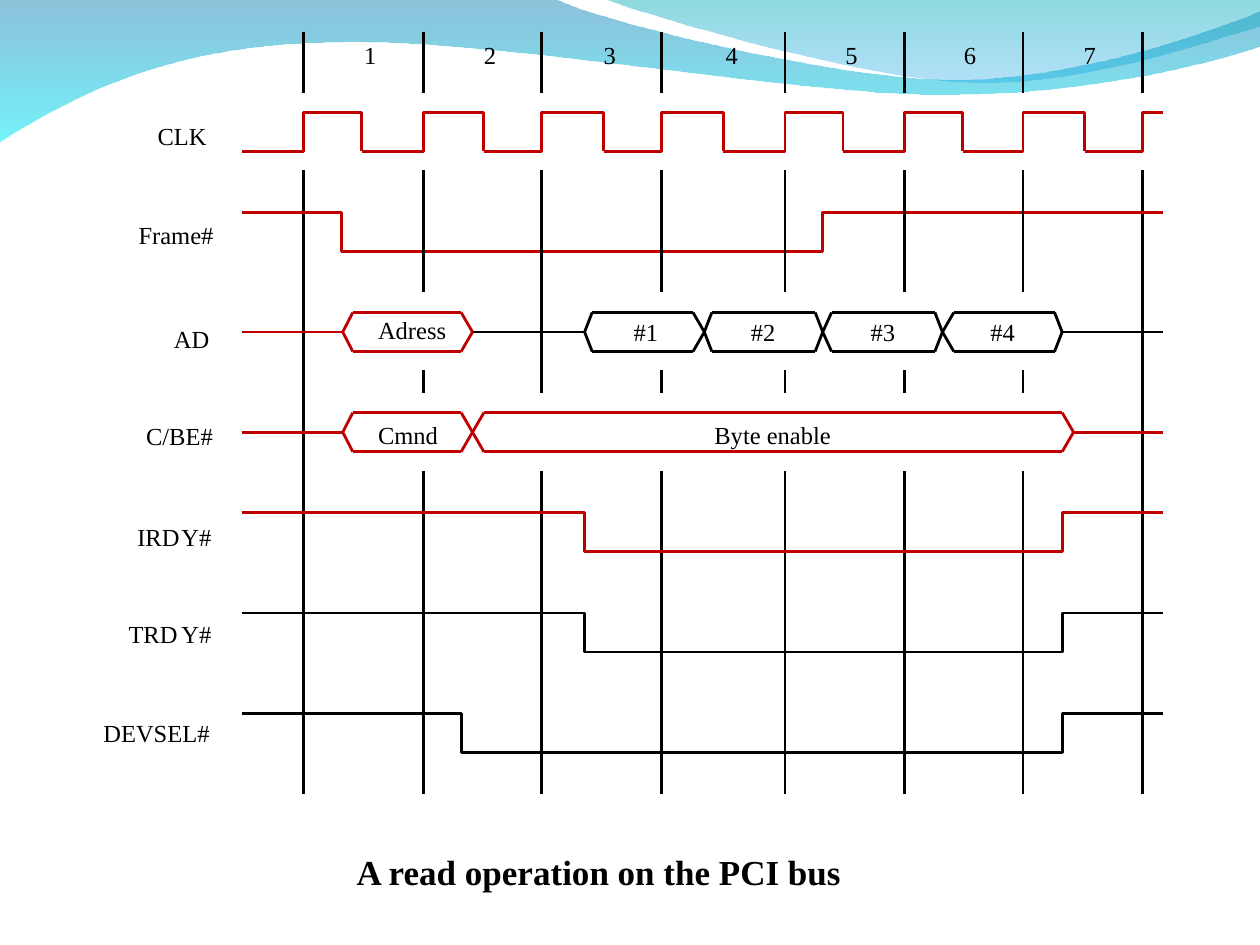
from itertools import pairwise

from lxml.etree import SubElement
from pptx import Presentation
from pptx.dml.color import RGBColor
from pptx.enum.shapes import MSO_CONNECTOR as Connector
from pptx.enum.text import MSO_ANCHOR as Anchor, MSO_AUTO_SIZE as AutoSize, PP_ALIGN as Align
from pptx.oxml.ns import qn
from pptx.util import Inches, Pt

FONT = "Times New Roman"
BLACK, RED = "000000", "C00000"
LINE_WIDTH = 1.62
START, END = 1.92, 9.23
SWING, ROW_PITCH = 0.31, 0.795
CLK, FRAME, AD, CBE, IRDY, TRDY, DEVSEL = [0.89 + ROW_PITCH * row for row in range(7)]
EDGES = [2.41, 3.36, 4.3, 5.25, 6.23, 7.18, 8.12, 9.07]
FALLS = [2.87, 3.84, 4.79, 5.74, 6.69, 7.64, 8.61]
CYCLE_LEFTS = [2.89, 3.84, 4.79, 5.76, 6.71, 7.65, 8.6]

LOWER_WAVE = [
    ((0, -0.01), (4.4, -0.01)),
    ((4.4, -0.01), (4.76, 0.17), (6.64, 0.63), (7.58, 0.63)),
    ((7.58, 0.63), (8.53, 0.63), (9.58, 0.26), (10, 0.09)),
    ((10, 0.09), (10.01, 0.36)),
    ((10.01, 0.36), (9.83, 0.44), (8.7, 0.76), (7.46, 0.75)),
    ((7.46, 0.75), (6.22, 0.75), (3.82, 0.28), (2.57, 0.34)),
    ((2.57, 0.34), (1.29, 0.35), (0.46, 0.83), (-0.01, 1.13)),
]
UPPER_WAVE = [
    ((4.79, -0.01), (5.09, 0.11), (6.82, 0.62), (7.69, 0.65)),
    ((7.69, 0.65), (8.56, 0.69), (9.61, 0.32), (10, 0.21)),
    ((10, 0.21), (10, 0)),
]

LABELS = [
    ("CLK", 1.25, 0.96, 0.45),
    ("Frame#", 1.1, 1.75, 0.66),
    ("AD", 1.38, 2.57, 0.34),
    ("C/BE#", 1.16, 3.34, 0.6),
    ("IRD", 1.09, 4.14, 0.4),
    ("Y#", 1.44, 4.14, 0.3),
    ("TRD", 1.02, 4.91, 0.45),
    ("Y#", 1.44, 4.91, 0.3),
    ("DEVSEL#", 0.82, 5.7, 0.92),
    ("Adress", 3, 2.5, 0.62),
    ("#1", 5.03, 2.52, 0.26),
    ("#2", 5.96, 2.52, 0.26),
    ("#3", 6.91, 2.52, 0.26),
    ("#4", 7.86, 2.52, 0.26),
    ("Cmnd", 3, 3.33, 0.55),
    ("Byte enable", 5.67, 3.33, 1),
]
COMMAND_CELL = (2.72, 2.8, 3.66, 3.75)
ENABLE_CELL = (3.75, 3.84, 8.43, 8.52)
DATA_CELLS = [
    (4.64, 4.7, 5.5, 5.59),
    (5.59, 5.65, 6.47, 6.53),
    (6.53, 6.6, 7.42, 7.48),
    (7.48, 7.57, 8.37, 8.43),
]


def rgb(color):
    return RGBColor.from_string(color)


def outline(slide, points, closed=False):
    corners = [(Inches(x), Inches(y)) for x, y in points]
    builder = slide.shapes.build_freeform(*corners[0])
    builder.add_line_segments(corners[1:], close=closed)
    shape = builder.convert_to_shape()
    shape.shadow.inherit = False
    return shape


def add_trace(slide, points, color):
    trace = outline(slide, points)
    trace.fill.background()
    trace.line.color.rgb = rgb(color)
    trace.line.width = Pt(LINE_WIDTH)


def add_line(slide, x1, y1, x2, y2, color=BLACK):
    line = slide.shapes.add_connector(
        Connector.STRAIGHT, Inches(x1), Inches(y1), Inches(x2), Inches(y2))
    line.line.color.rgb = rgb(color)
    line.line.width = Pt(LINE_WIDTH)
    SubElement(line._element.spPr, qn("a:effectLst"))


def bezier(p0, p1, p2, p3, steps=24):
    for step in range(steps + 1):
        t = step / steps
        u = 1 - t
        yield tuple(u**3 * a + 3 * u * u * t * b + 3 * u * t * t * c + t**3 * d
                    for a, b, c, d in zip(p0, p1, p2, p3))


def add_wave(slide, pieces, stops):
    points = [point for piece in pieces
              for point in (bezier(*piece) if len(piece) == 4 else piece)]
    wave = outline(slide, points, closed=True)
    wave.line.fill.background()
    wave.fill.gradient()
    wave.fill.gradient_angle = 270
    for stop, position, (color, opacity) in zip(wave.fill.gradient_stops, (0, 1), stops):
        stop.position = position
        stop.color.rgb = rgb(color)
        tint = stop._gs.find(qn("a:srgbClr"))
        SubElement(tint, qn("a:alpha")).set("val", str(opacity * 1000))


def write(frame, text, size, bold=False):
    frame.margin_left = frame.margin_right = frame.margin_top = frame.margin_bottom = 0
    frame.vertical_anchor = Anchor.TOP
    frame.word_wrap = True
    frame.auto_size = AutoSize.NONE
    paragraph = frame.paragraphs[0]
    paragraph.alignment = Align.LEFT
    run = paragraph.add_run()
    run.text = text
    run.font.name, run.font.size, run.font.bold = FONT, Pt(size), bold
    run.font.color.rgb = rgb(BLACK)


def add_label(slide, text, left, top, width):
    label = slide.shapes.add_textbox(Inches(left), Inches(top), Inches(width), Inches(0.23))
    write(label.text_frame, text, 14)


def add_caption(slide, text):
    caption = slide.shapes.title
    caption.left, caption.top = Inches(2.83), Inches(6.75)
    caption.width, caption.height = Inches(4.83), Inches(0.33)
    write(caption.text_frame, text, 20, bold=True)


def add_active_low(slide, high, fall, rise, color):
    low = high + SWING
    add_trace(slide, [(END, high), (rise, high), (rise, low),
                      (fall, low), (fall, high), (START, high)], color)


def add_bus_cell(slide, high, cell, color):
    left_tip, left, right, right_tip = cell
    middle, low = high + SWING / 2, high + SWING
    add_trace(slide, [(left, low), (left_tip, middle), (left, high)], color)
    add_trace(slide, [(right, high), (right_tip, middle), (right, low)], color)
    for y in (high, low):
        add_line(slide, right, y, left, y, color)


def add_idle(slide, high, left, right, color):
    middle = high + SWING / 2
    add_line(slide, left, middle, right, middle, color)


def add_clock(slide):
    low = CLK + SWING
    for begin, rise, fall in zip([START] + FALLS, EDGES, FALLS):
        add_trace(slide, [(fall, low), (fall, CLK), (rise, CLK), (rise, low), (begin, low)], RED)
    add_trace(slide, [(END, CLK), (EDGES[-1], CLK), (EDGES[-1], low), (FALLS[-1], low)], RED)


def add_lower_grid(slide):
    for edge in EDGES:
        top = 1.35 if edge in (EDGES[0], EDGES[-1]) else 3.74
        add_line(slide, edge, 6.3, edge, top)


def add_upper_grid(slide):
    for edge in EDGES:
        add_line(slide, edge, 0.25, edge, 0.74)
    for edge in EDGES[1:-1]:
        stops = [1.35, 3.12] if edge == EDGES[2] else [1.35, 2.32, 2.94, 3.12]
        for top, bottom in list(pairwise(stops))[::2]:
            add_line(slide, edge, top, edge, bottom)


def add_buses(slide):
    for high in (AD, CBE):
        add_idle(slide, high, START, COMMAND_CELL[0], RED)
        add_bus_cell(slide, high, COMMAND_CELL, RED)
    add_idle(slide, AD, COMMAND_CELL[-1], DATA_CELLS[0][0], BLACK)
    for cell in DATA_CELLS:
        add_bus_cell(slide, AD, cell, BLACK)
    add_idle(slide, AD, DATA_CELLS[-1][-1], END, BLACK)
    add_bus_cell(slide, CBE, ENABLE_CELL, RED)
    add_idle(slide, CBE, ENABLE_CELL[-1], END, RED)


def main():
    deck = Presentation()
    deck.slide_width, deck.slide_height = Inches(10), Inches(7.5)
    slide = deck.slides.add_slide(deck.slide_layouts[5])
    add_wave(slide, LOWER_WAVE, [("0079AF", 45), ("00EBF8", 55)])
    add_wave(slide, UPPER_WAVE, [("00ADB6", 45), ("009BE5", 30)])
    add_lower_grid(slide)
    add_clock(slide)
    add_active_low(slide, FRAME, 2.71, 6.53, RED)
    add_buses(slide)
    add_active_low(slide, IRDY, 4.64, 8.43, RED)
    add_active_low(slide, TRDY, 4.64, 8.43, BLACK)
    add_active_low(slide, DEVSEL, 3.66, 8.43, BLACK)
    add_upper_grid(slide)
    for cycle, left in enumerate(CYCLE_LEFTS, 1):
        add_label(slide, str(cycle), left, 0.32, 0.15)
    for label in LABELS:
        add_label(slide, *label)
    add_caption(slide, "A read operation on the PCI bus")
    deck.save("out.pptx")


if __name__ == "__main__":
    main()
